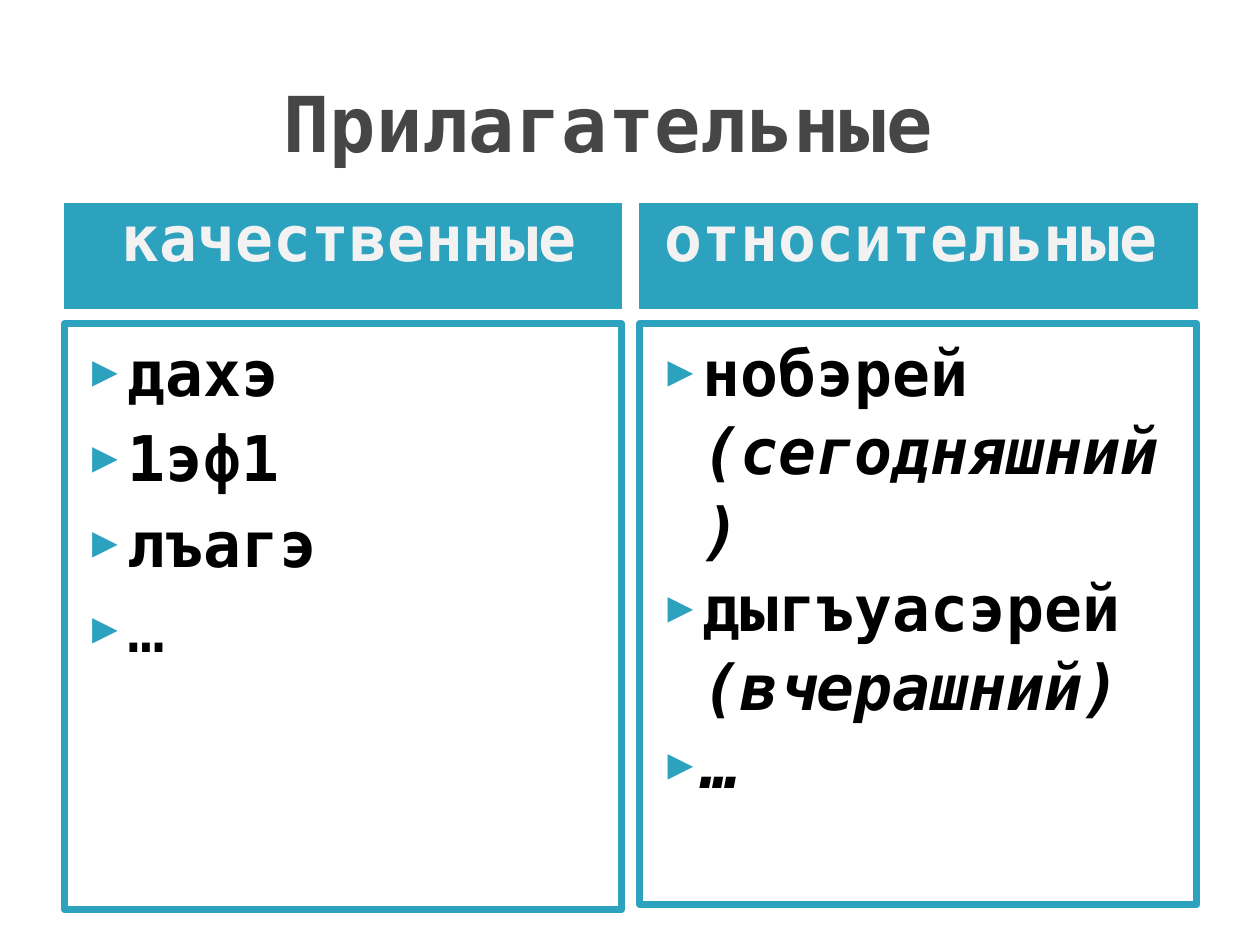
from lxml.etree import SubElement
from pptx import Presentation
from pptx.dml.color import RGBColor
from pptx.enum.shapes import MSO_SHAPE
from pptx.enum.text import MSO_ANCHOR, PP_ALIGN
from pptx.oxml.ns import qn
from pptx.util import Cm, Pt

TEAL, GREY, PALE, WHITE, BLACK = "2DA2BF", "464646", "F2F2F2", "FFFFFF", "000000"


def colour(value):
    return RGBColor.from_string(value)


def apply(target, values):
    for name, value in values.items():
        setattr(target, name, value)


class AdjectivesPage:
    """Draws the title, headings and word lists of one slide in a shared style."""

    font = {"name": "DejaVu Sans Mono", "size": Pt(36), "bold": True}

    def __init__(self, deck):
        self.page = deck.slides.add_slide(deck.slide_layouts[6])

    def add_span(self, para, text, shade, **changes):
        span = para.add_run()
        span.text = text
        apply(span.font, {**self.font, **changes})
        span.font.color.rgb = colour(shade)

    def title(self, text, left, top, width, height):
        box = self.page.shapes.add_textbox(Cm(left), Cm(top), Cm(width), Cm(height))
        apply(box.text_frame, {"word_wrap": True, "vertical_anchor": MSO_ANCHOR.MIDDLE,
                               "margin_top": Cm(0.33), "margin_right": Cm(1.12)})
        para = box.text_frame.paragraphs[0]
        para.alignment = PP_ALIGN.CENTER
        self.add_span(para, text, GREY, size=Pt(44))

    def panel(self, left, top, width, height, fill, line_width, frame):
        box = self.page.shapes.add_shape(
            MSO_SHAPE.RECTANGLE, Cm(left), Cm(top), Cm(width), Cm(height))
        box.shadow.inherit = False
        box.fill.solid()
        box.fill.fore_color.rgb = colour(fill)
        box.line.color.rgb = colour(TEAL)
        box.line.width = Pt(line_width)
        apply(box.text_frame, {"word_wrap": True, **frame})
        return box.text_frame

    def heading(self, text, align, left, top, width, height):
        frame = self.panel(left, top, width, height, TEAL, 0.75, {
            "vertical_anchor": MSO_ANCHOR.MIDDLE, "margin_left": Cm(0.5),
            "margin_top": Cm(0), "margin_bottom": Cm(0.8)})
        para = frame.paragraphs[0]
        para.alignment = align
        self.add_span(para, text, PALE)

    def bullet(self, para):
        props = para._p.get_or_add_pPr()
        props.set("marL", str(Cm(1.02)))
        props.set("indent", str(-Cm(0.71)))
        SubElement(SubElement(props, qn("a:buClr")), qn("a:srgbClr"), val=TEAL)
        SubElement(props, qn("a:buSzPct"), val="68000")
        SubElement(props, qn("a:buFont"), typeface=self.font["name"])
        SubElement(props, qn("a:buChar"), char="▶")

    def words(self, items, gap, left, top, width, height):
        frame = self.panel(left, top, width, height, WHITE, 4,
                           {"vertical_anchor": MSO_ANCHOR.TOP})
        for index, spans in enumerate(items):
            para = frame.add_paragraph() if index else frame.paragraphs[0]
            self.bullet(para)
            apply(para, {"alignment": PP_ALIGN.LEFT, "line_spacing": 1.04,
                         "space_before": Pt(gap if index else 0)})
            for text, changes in spans:
                self.add_span(para, text, BLACK, **changes)


def main():
    deck = Presentation()
    apply(deck, {"slide_width": Cm(25.4), "slide_height": Cm(19.05)})
    sheet = AdjectivesPage(deck)
    sheet.title("Прилагательные", 1.27, 0.76, 22.86, 3.18)

    italic = {"italic": True}
    columns = [
        ("качественные", PP_ALIGN.CENTER, 11.81, 4,
         [[("дахэ", {})], [("1эф1", {})], [("лъагэ", {})], [("…", {"bold": False})]]),
        ("относительные", PP_ALIGN.LEFT, 11.71, 0,
         [[("нобэрей ", {}), ("(сегодняшний)", italic)],
          [("дыгъуасэрей ", {}), ("(вчерашний)", italic)],
          [("…", italic)]]),
    ]
    for index, (name, align, height, gap, items) in enumerate(columns):
        left = 1.3 + index * 11.6
        sheet.heading(name, align, left, 4.11, 11.23, 2.11)
        sheet.words(items, gap, left, 6.53, 11.23, height)
    deck.save("out.pptx")


if __name__ == "__main__":
    main()
